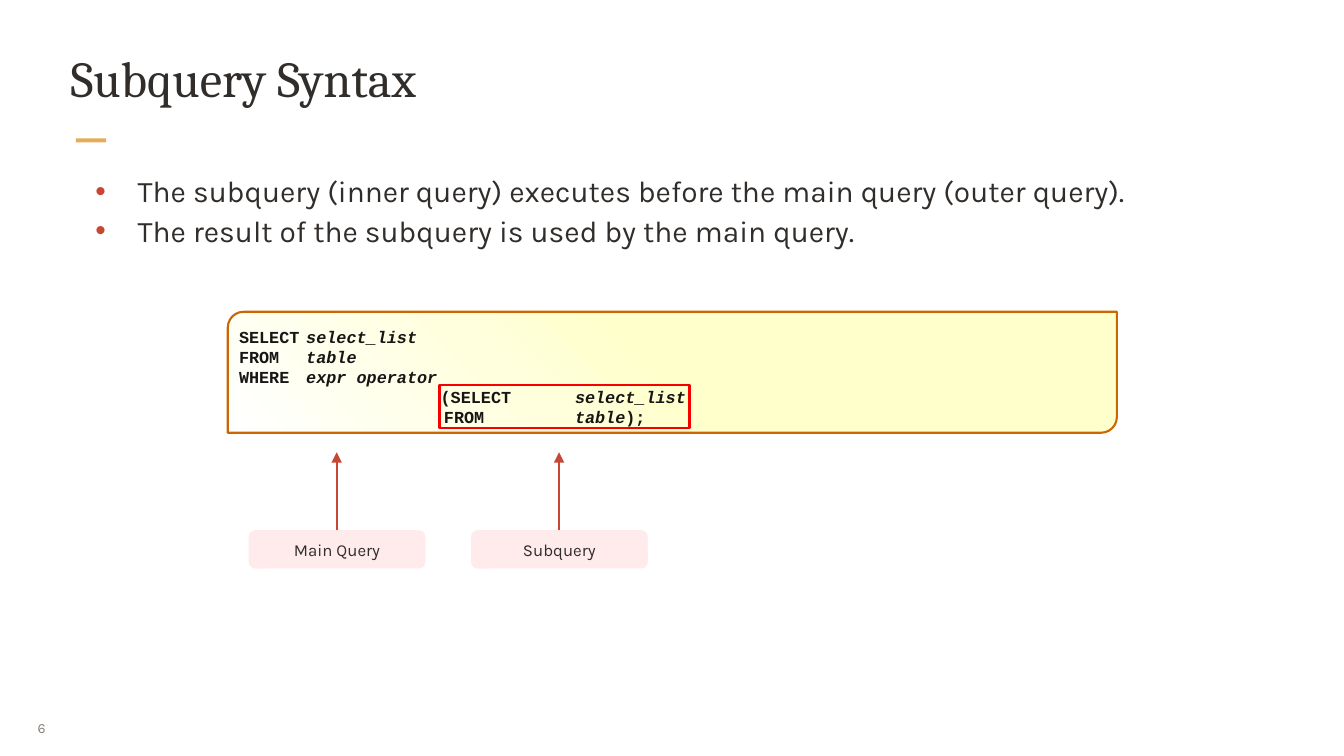
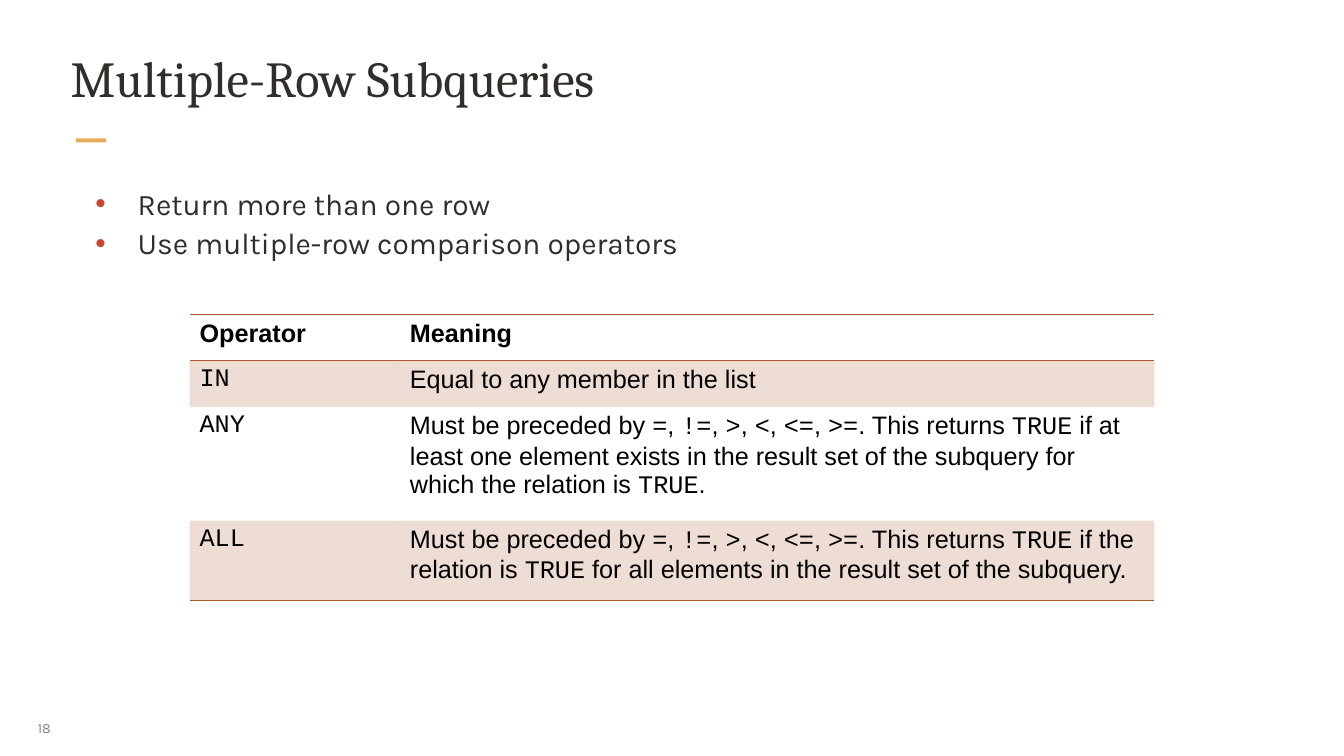
from copy import deepcopy
from lxml import etree
from pptx import Presentation
from pptx.dml.color import RGBColor
from pptx.enum.shapes import MSO_CONNECTOR, MSO_SHAPE
from pptx.enum.text import MSO_ANCHOR, PP_ALIGN
from pptx.oxml.ns import qn
from pptx.util import Inches, Pt

RECT = MSO_SHAPE.RECTANGLE
ROUND = MSO_SHAPE.ROUNDED_RECTANGLE
DIAG = MSO_SHAPE.ROUND_2_DIAG_RECTANGLE
LINE = MSO_CONNECTOR.STRAIGHT
TOP, MID = MSO_ANCHOR.TOP, MSO_ANCHOR.MIDDLE
LEFT, CENTER, JUST = PP_ALIGN.LEFT, PP_ALIGN.CENTER, PP_ALIGN.JUSTIFY
HEAD, BODY, SANS, MONO = "Cambria", "Karla", "Arial", "Courier New"
PLAIN = "{2D5ABB26-0587-4C30-8999-92F81FD0307C}"
HEX = {
    "ink": "312D2A", "gold": "E6AC58", "grey": "8B8078", "red": "C74634",
    "code": "181615", "cream": "FFFFCC", "white": "FFFFFF", "edge": "CC6600",
    "frame": "F80000", "pink": "FFEBEB", "black": "000000", "rust": "AE562C",
}
RGB = {name: RGBColor.from_string(code) for name, code in HEX.items()}


def style(para, size, font, color, bold=False):
    for run in para.runs:
        run.font.size, run.font.name, run.font.bold = Pt(size), font, bold
        run.font.color.rgb = RGB[color]


def add_text(slide, box, lines, size, font, color, pad=(0.03, 0.03)):
    frame = slide.shapes.add_textbox(*map(Inches, box)).text_frame
    frame.word_wrap = True
    frame.margin_left = frame.margin_right = Inches(pad[0])
    frame.margin_top = frame.margin_bottom = Inches(pad[1])
    frame.text = "\n".join(lines)
    for para in frame.paragraphs:
        style(para, size, font, color)
    return frame


deck = Presentation()
deck.slide_width, deck.slide_height = Inches(20), Inches(11.25)

# Shared parts: title, gold dash, bullets, page number
pages = [
    ("Subquery Syntax", "6", 2.49, [
        "The subquery (inner query) executes before the main query (outer query).",
        "The result of the subquery is used by the main query."]),
    ("Multiple-Row Subqueries", "18", 2.68, [
        "Return more than one row",
        "Use multiple-row comparison operators"]),
]
for title, num, top, points in pages:
    slide = deck.slides.add_slide(deck.slide_layouts[6])
    dash = slide.shapes.add_shape(RECT, *map(Inches, (1.13, 2.06, 0.45, 0.06)))
    dash.shadow.inherit = False
    dash.fill.solid()
    dash.fill.fore_color.rgb = RGB["gold"]
    dash.line.fill.background()
    foot = add_text(slide, (0.43, 10.54, 0.65, 0.58), [num], 15, BODY, "grey", (0.13, 0.07))
    foot.vertical_anchor = MID
    foot.paragraphs[0].alignment = JUST
    add_text(slide, (1.02, 0.67, 17.96, 1.28), [title], 54, HEAD, "ink")
    body = add_text(slide, (1.02, top, 17.96, 1.2), points, 32, BODY, "ink")
    for para in body.paragraphs:
        para.line_spacing = 1.1
        props = para._p.get_or_add_pPr()
        props.set("marL", str(Inches(1)))
        props.set("indent", str(Inches(-0.63)))
        tint = etree.SubElement(props, qn("a:buClr"))
        etree.SubElement(tint, qn("a:srgbClr"), val=HEX["red"])
        etree.SubElement(props, qn("a:buFont"), typeface=SANS)
        etree.SubElement(props, qn("a:buChar"), char="•")
syntax, multi = deck.slides

# Code panel with a diagonal fade
panel = syntax.shapes.add_shape(DIAG, *map(Inches, (3.39, 4.64, 13.23, 1.8)))
panel.shadow.inherit = False
panel.adjustments[0], panel.adjustments[1] = 0.13, 0
panel.line.color.rgb, panel.line.width = RGB["edge"], Pt(2.25)
panel.fill.gradient()
panel.fill.gradient_angle = 225
start, end = panel.fill.gradient_stops
start.color.rgb, end.color.rgb = RGB["cream"], RGB["white"]
first = panel._element.spPr.find(".//" + qn("a:gs"))
half = deepcopy(first)
half.set("pos", "50000")
first.addnext(half)

# Code lines: tab stops in inches, then plain and italic parts in turn
code = [
    ([1], ["SELECT\t", "select_list"]),
    ([1], ["FROM\t", "table"]),
    ([1], ["WHERE\t", "expr operator"]),
    ([3, 5], ["\t(SELECT\t", "select_list"]),
    ([3.05, 5], ["\tFROM\t", "table", ");"]),
]
frame = panel.text_frame
frame.vertical_anchor = TOP
frame.margin_left, frame.margin_top = Inches(0.1), Inches(0.15)
frame.margin_right, frame.margin_bottom = Inches(0.02), 0
for i, (stops, parts) in enumerate(code):
    para = frame.add_paragraph() if i else frame.paragraphs[0]
    para.alignment = LEFT
    tabs = etree.SubElement(para._p.get_or_add_pPr(), qn("a:tabLst"))
    for stop in stops:
        etree.SubElement(tabs, qn("a:tab"), pos=str(Inches(stop)), algn="l")
    for k, part in enumerate(parts):
        run = para.add_run()
        run.text, run.font.italic = part, k % 2 == 1
    style(para, 18, MONO, "code", True)

# Frame around the inner query
ring = syntax.shapes.add_shape(RECT, *map(Inches, (6.54, 5.73, 3.72, 0.64)))
ring.shadow.inherit = False
ring.fill.background()
ring.line.color.rgb, ring.line.width = RGB["frame"], Pt(2.25)

# Labels with arrows up to the code
for left, label in [(7.01, "Subquery"), (3.7, "Main Query")]:
    tag = syntax.shapes.add_shape(ROUND, *map(Inches, (left, 7.89, 2.63, 0.57)))
    tag.shadow.inherit = False
    tag.fill.solid()
    tag.fill.fore_color.rgb = RGB["pink"]
    tag.line.fill.background()
    tag.text_frame.text = label
    tag.text_frame.vertical_anchor = MID
    tag.text_frame.paragraphs[0].alignment = CENTER
    style(tag.text_frame.paragraphs[0], 18, BODY, "ink")
    mid = left + 1.31
    arrow = syntax.shapes.add_connector(LINE, *map(Inches, (mid, 7.88, mid, 6.73)))
    arrow.line.color.rgb, arrow.line.width = RGB["red"], Pt(2.25)
    etree.SubElement(arrow.get_or_add_ln(), qn("a:tailEnd"), type="triangle", w="lg", len="lg")
    etree.SubElement(arrow._element.spPr, qn("a:effectLst"))

# Operator table: text between backticks is set in the code font
lead = "Must be preceded by `=`, `!=`, `>`, `<`, `<=`, `>=`. This returns `TRUE` if "
rows = [
    ("Operator", "Meaning"),
    ("`IN`", "Equal to any member in the list"),
    ("`ANY`", lead + "at least one element exists in the result set of the subquery "
                     "for which the relation is `TRUE`."),
    ("`ALL`", lead + "the relation is `TRUE` for all elements in the result set of the subquery."),
]
table = multi.shapes.add_table(4, 2, *map(Inches, (2.82, 4.68, 14.36, 4.25))).table
table._tbl.tblPr.find(qn("a:tableStyleId")).text = PLAIN
for col, width in zip(table.columns, (3.13, 11.23)):
    col.width = Inches(width)
for row, high in zip(table.rows, (0.69, 0.69, 1.69, 1.18)):
    row.height = Inches(high)
rules = {0: ("a:lnT", "a:lnB"), 3: ("a:lnB",)}
for r, texts in enumerate(rows):
    for c, text in enumerate(texts):
        cell = table.cell(r, c)
        cell.margin_left = cell.margin_right = Inches(0.15)
        cell.margin_top = cell.margin_bottom = Inches(0.07)
        para = cell.text_frame.paragraphs[0]
        parts = [(part, k % 2) for k, part in enumerate(text.split("`")) if part]
        for part, mono in parts:
            para.add_run().text = part
        style(para, 27, SANS, "black", r == 0)
        for run, (part, mono) in zip(para.runs, parts):
            run.font.name = MONO if mono else SANS
        props = cell._tc.get_or_add_tcPr()
        for side in rules.get(r, ()):
            rule = etree.SubElement(props, qn(side), w=str(Pt(1)))
            paint = etree.SubElement(rule, qn("a:solidFill"))
            etree.SubElement(paint, qn("a:srgbClr"), val=HEX["rust"])
        if r % 2:
            cell.fill.solid()
            cell.fill.fore_color.rgb = RGB["rust"]
            shade = props.find(qn("a:solidFill")).find(qn("a:srgbClr"))
            etree.SubElement(shade, qn("a:alpha"), val="20000")
        else:
            cell.fill.background()

deck.save("out.pptx")
